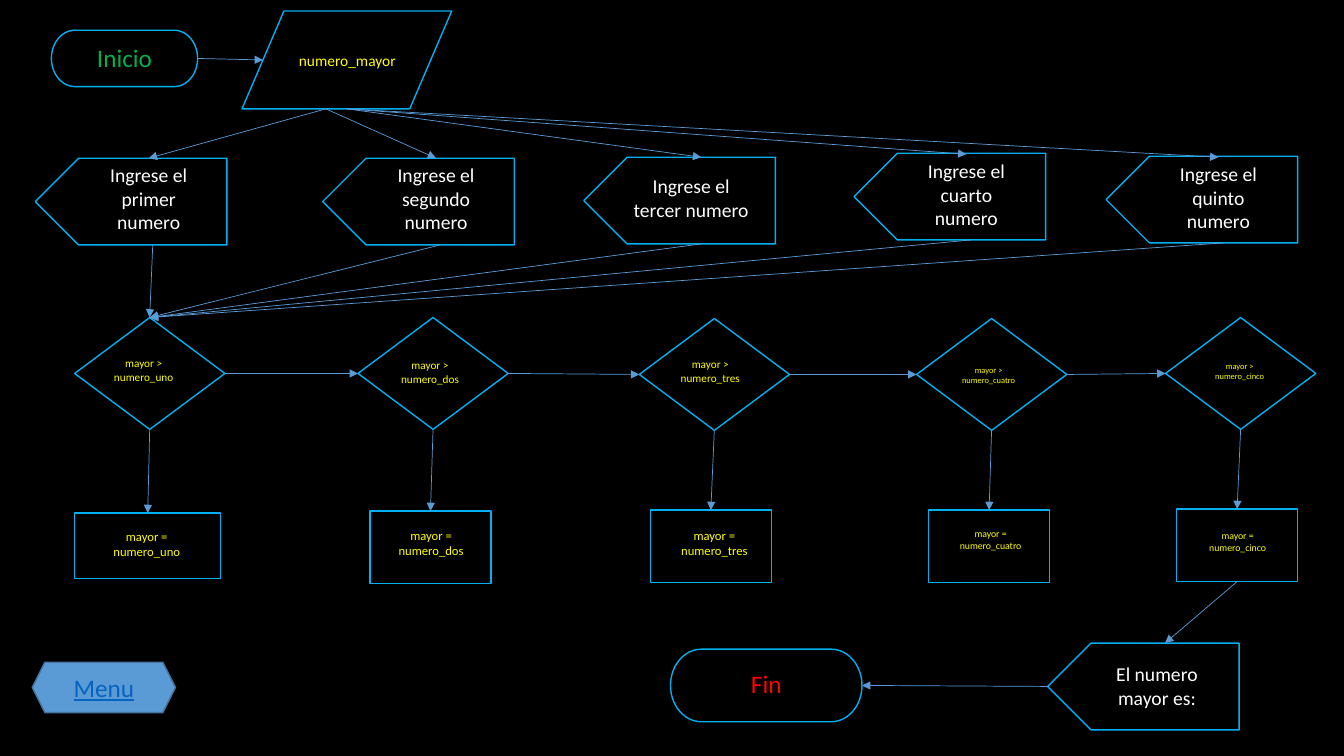
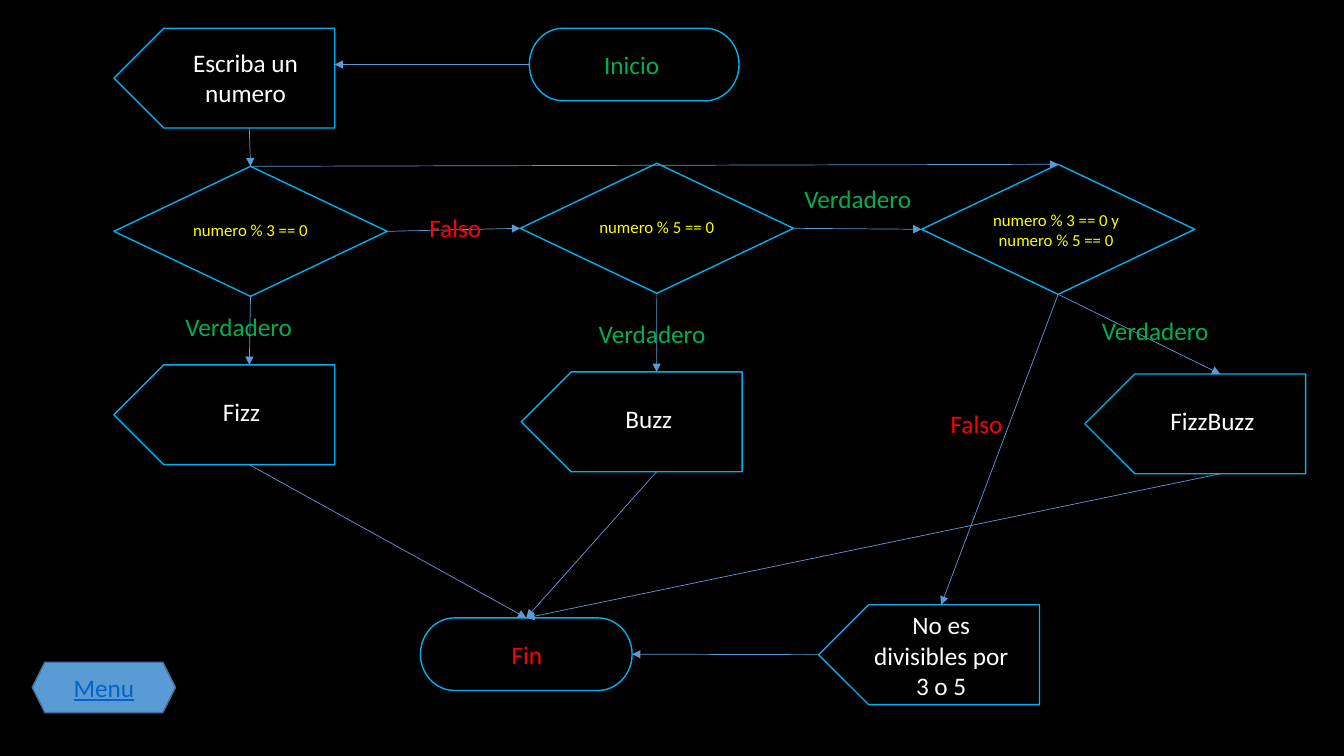
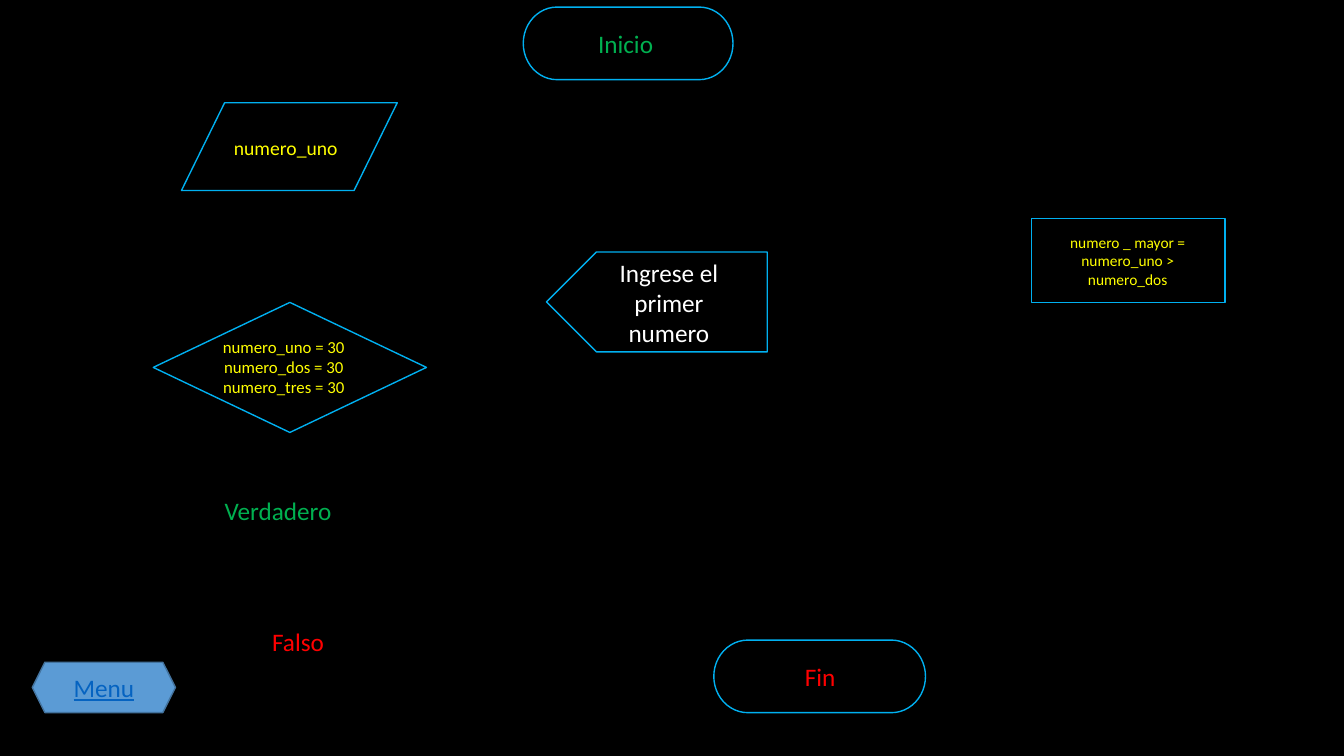
from dataclasses import dataclass

from lxml.etree import SubElement
from pptx import Presentation
from pptx.dml.color import RGBColor
from pptx.enum.shapes import MSO_CONNECTOR, MSO_SHAPE
from pptx.enum.text import MSO_ANCHOR, MSO_AUTO_SIZE, PP_ALIGN
from pptx.oxml.ns import qn
from pptx.util import Inches, Pt

FONT = "Calibri"
BLACK, WHITE, YELLOW = "000000", "FFFFFF", "FFFF00"
GREEN, RED = "00B050", "FF0000"
OUTLINE, ARROW, MENU_LINE, MENU_TEXT = "00B0F0", "5B9BD5", "43739E", "0563C1"
TOP, LEFT, BOTTOM, RIGHT = range(4)

SHAPES = {
    "terminal": MSO_SHAPE.FLOWCHART_TERMINATOR,
    "data": MSO_SHAPE.FLOWCHART_DATA,
    "prompt": MSO_SHAPE.PENTAGON,
    "decision": MSO_SHAPE.FLOWCHART_DECISION,
    "process": MSO_SHAPE.RECTANGLE,
}
TEXT_COLORS = {"data": YELLOW, "prompt": WHITE, "decision": YELLOW, "process": YELLOW}


@dataclass
class Node:
    kind: str
    shape: object
    box: tuple
    label: object = None


def rgb(color):
    return RGBColor.from_string(color)


def inches(*lengths):
    return [Inches(length) for length in lengths]


def write(shape, paragraphs, size, color, align=PP_ALIGN.CENTER, underline=None):
    frame = shape.text_frame
    for index, text in enumerate(paragraphs):
        paragraph = frame.add_paragraph() if index else frame.paragraphs[0]
        paragraph.alignment = align
        run = paragraph.add_run()
        run.text = text
        run.font.name, run.font.size = FONT, Pt(size)
        run.font.color.rgb = rgb(color)
        run.font.underline = underline


def outlined_shape(slide, preset, box, line, fill=None):
    shape = slide.shapes.add_shape(preset, *inches(*box))
    shape.shadow.inherit = False
    if fill:
        shape.fill.solid()
        shape.fill.fore_color.rgb = rgb(fill)
    else:
        shape.fill.background()
    shape.line.color.rgb = rgb(line)
    shape.line.width = Pt(1)
    return shape


def label(slide, position, width, text, size, color, align=PP_ALIGN.CENTER,
          lines=1, wrap=True):
    """Place a text box whose height follows its number of lines."""
    box = (*position, width, round(0.1 + lines * size * 1.22 / 72, 2))
    text_box = slide.shapes.add_textbox(*inches(*box))
    text_box.text_frame.word_wrap = wrap
    text_box.text_frame.auto_size = MSO_AUTO_SIZE.SHAPE_TO_FIT_TEXT
    write(text_box, text.split("\n"), size, color, align)
    return Node("label", text_box, box)


def node(slide, kind, box, text, size, offset, width, lines=1, color=None):
    """Draw a flowchart symbol with a label at an offset from its corner."""
    shape = outlined_shape(slide, SHAPES[kind], box, OUTLINE)
    if kind == "prompt":
        shape.rotation = 180
    position = (box[0] + offset[0], box[1] + offset[1])
    caption = label(slide, position, width, text, size,
                    color or TEXT_COLORS[kind], lines=lines)
    return Node(kind, shape, box, caption)


def port(item, side):
    """Return the point on a side, the middle of the flat edge for a prompt."""
    left, top, width, height = item.box
    middle = left + width / 2
    if item.kind == "prompt":
        middle += height / 4
    return {
        TOP: (middle, top),
        LEFT: (left, top + height / 2),
        BOTTOM: (middle, top + height),
        RIGHT: (left + width, top + height / 2),
    }[side]


def arrow(slide, start, end):
    """Join two ends, each a (node, side) pair or a plain (x, y) point."""
    points = [port(*item) if isinstance(item[0], Node) else item for item in (start, end)]
    connector = slide.shapes.add_connector(
        MSO_CONNECTOR.STRAIGHT, *inches(*points[0], *points[1]))
    for item, join in ((start, connector.begin_connect), (end, connector.end_connect)):
        if isinstance(item[0], Node) and item[0].kind != "prompt":
            join(item[0].shape, item[1])
    connector.line.color.rgb = rgb(ARROW)
    connector.line.width = Pt(0.5)
    SubElement(connector.line._get_or_add_ln(), qn("a:tailEnd"), type="triangle")
    SubElement(connector._element.spPr, qn("a:effectLst"))


def start_node(slide, box, offset=(0.23, 0.16), width=1.57):
    return node(slide, "terminal", box, "Inicio", 18, offset, width, color=GREEN)


def end_node(slide, box, offset=(0.27, 0.16), width=1.57):
    return node(slide, "terminal", box, "Fin", 18, offset, width, color=RED)


def true_label(slide, position):
    label(slide, position, 1.4, "Verdadero", 18, GREEN, PP_ALIGN.LEFT)


def false_label(slide, position):
    label(slide, position, 0.72, "Falso", 18, RED, PP_ALIGN.LEFT, wrap=False)


def flowchart_slide(presentation):
    """Add a blank slide with the menu button."""
    slide = presentation.slides.add_slide(presentation.slide_layouts[6])
    button = outlined_shape(slide, MSO_SHAPE.HEXAGON, (0.32, 6.57, 1.42, 0.5),
                            MENU_LINE, ARROW)
    button.text_frame.vertical_anchor = MSO_ANCHOR.MIDDLE
    write(button, ["Menu"], 18, MENU_TEXT, underline=True)
    return slide


def largest_number_slide(presentation):
    slide = flowchart_slide(presentation)
    start = start_node(slide, (0.51, 0.3, 1.45, 0.56), (0.22, 0.07), 1.01)
    data_left, data_top, data_width, data_height = data_box = (2.4, 0.11, 2.08, 0.97)
    node(slide, "data", data_box, "numero_mayor", 11, (0.35, 0.35), 1.39)
    arrow(slide, (start, RIGHT), (data_left + data_width / 10, data_top + data_height / 2))

    # ordinal, number, prompt corner and offset, lines, decision corner and
    # offset, process box and offset, text sizes, share of the data edge
    columns = [
        ("primer", "uno", (0.35, 1.57), (0.44, 0), 3, (0.74, 3.15), (0.29, 0.34),
         (0.74, 5.09, 1.45, 0.65), (0.28, 0.11), (8, 9), 0.4),
        ("segundo", "dos", (3.2, 1.57), (0.44, 0), 3, (3.55, 3.15), (0.32, 0.36),
         (3.67, 5.07, 1.2, 0.72), (0.17, 0.12), (8, 9), 0.4),
        ("tercer", "tres", (5.79, 1.56), (0.38, 0.12), 2, (6.34, 3.16), (0.31, 0.34),
         (6.45, 5.06, 1.2, 0.72), (0.2, 0.13), (8, 9), 0.5),
        ("cuarto", "cuatro", (8.47, 1.52), (0.43, 0.01), 3, (9.09, 3.16), (0.32, 0.41),
         (9.21, 5.06, 1.2, 0.72), (0.18, 0.13), (6, 7), 0.5),
        ("quinto", "cinco", (10.97, 1.55), (0.43, 0.01), 3, (11.56, 3.15), (0.34, 0.38),
         (11.67, 5.05, 1.2, 0.72), (0.17, 0.16), (6, 7), 0.5),
    ]
    first = previous = None
    for (ordinal, number, prompt_at, prompt_offset, lines, decision_at, decision_offset,
         process_box, process_offset, sizes, share) in columns:
        prompt = node(slide, "prompt", (*prompt_at, 1.9, 0.86),
                      f"Ingrese el {ordinal} numero", 14, prompt_offset, 1.37, lines)
        decision = node(slide, "decision", (*decision_at, 1.49, 1.11),
                        f"mayor > numero_{number}", sizes[0], decision_offset, 0.79, 2)
        process = node(slide, "process", process_box, f"mayor = numero_{number}",
                       sizes[1], process_offset, 0.87, 2)
        first = first or decision
        target = prompt.label if lines == 3 else prompt
        arrow(slide, (data_left + data_width * share, data_top + data_height), (target, TOP))
        arrow(slide, (prompt, BOTTOM), (first, TOP))
        arrow(slide, (decision, BOTTOM), (process, TOP))
        if previous:
            arrow(slide, (previous, RIGHT), (decision, LEFT))
        previous = decision

    result = node(slide, "prompt", (10.39, 6.38, 1.9, 0.86), "El numero mayor es:",
                  14, (0.4, 0.14), 1.37, 2)
    end = end_node(slide, (6.65, 6.44, 1.9, 0.72), (0.49, 0.14), 0.92)
    arrow(slide, (process, BOTTOM), (result, TOP))
    arrow(slide, (result, LEFT), (end, RIGHT))


def fizzbuzz_slide(presentation):
    slide = flowchart_slide(presentation)

    def prompt(corner, text, offset=(0.48, 0.26), lines=1):
        return node(slide, "prompt", (*corner, 2.19, 0.99), text, 18, offset, 1.57, lines)

    def decision(corner, text, offset=(0.57, 0.48), lines=1):
        return node(slide, "decision", (*corner, 2.71, 1.29), text, 12, offset, 1.57, lines)

    start = start_node(slide, (5.25, 0.28, 2.08, 0.72))
    end = end_node(slide, (4.17, 6.13, 2.1, 0.72))
    question = prompt((1.13, 0.28), "Escriba un numero", (0.52, 0.14), 2)
    by_three = decision((1.13, 1.65), "numero % 3 == 0")
    by_five = decision((5.16, 1.62), "numero % 5 == 0")
    by_both = decision((9.14, 1.63), "numero % 3 == 0 y numero % 5 == 0", (0.55, 0.4), 2)
    fizz = prompt((1.13, 3.62), "Fizz")
    buzz = prompt((5.17, 3.69), "Buzz")
    fizzbuzz = prompt((10.76, 3.71), "FizzBuzz")
    neither = prompt((8.12, 6), "No es divisibles por 3 o 5", (0.43, 0), 3)

    question_right = question.box[0] + question.box[2]
    for origin, target in [
        ((start, LEFT), (question_right, port(start, LEFT)[1])),
        ((question, BOTTOM), (by_three, TOP)),
        ((by_three, BOTTOM), (fizz, TOP)),
        ((by_three, RIGHT), (by_five, LEFT)),
        ((by_three, TOP), (by_both, TOP)),
        ((by_five, BOTTOM), (buzz, TOP)),
        ((by_five, RIGHT), (by_both, LEFT)),
        ((by_both, BOTTOM), (fizzbuzz, TOP)),
        ((by_both, BOTTOM), (neither.label, TOP)),
        ((fizz, BOTTOM), (end, TOP)),
        ((buzz, BOTTOM), (end, TOP)),
        ((fizzbuzz, BOTTOM), (end, TOP)),
        ((neither, LEFT), (end, RIGHT)),
    ]:
        arrow(slide, origin, target)

    for position in [(1.74, 3.04), (5.84, 3.11), (10.83, 3.08), (7.88, 1.77)]:
        true_label(slide, position)
    for position in [(4.16, 2.06), (9.33, 4)]:
        false_label(slide, position)


def symbols_slide(presentation):
    slide = flowchart_slide(presentation)
    start_node(slide, (5.19, 0.07, 2.08, 0.72))
    end_node(slide, (7.08, 6.35, 2.1, 0.72))
    node(slide, "data", (1.8, 1.02, 2.14, 0.87), "numero_uno", 14, (0.2, 0.28), 1.67)
    node(slide, "decision", (1.52, 3, 2.71, 1.29),
         "numero_uno = 30\nnumero_dos = 30\nnumero_tres = 30", 12, (0.51, 0.29), 1.57, 3)
    node(slide, "prompt", (5.42, 2.5, 2.19, 0.99), "Ingrese el primer numero",
         18, (0.43, 0), 1.57, 3)
    node(slide, "process", (10.23, 2.17, 1.92, 0.83),
         "numero _ mayor = numero_uno > numero_dos", 11, (0.26, 0.09), 1.39, 3)
    true_label(slide, (2.13, 4.86))
    false_label(slide, (2.6, 6.16))


def main():
    presentation = Presentation()
    presentation.slide_width, presentation.slide_height = inches(13.33, 7.5)
    background = presentation.slide_master.background.fill
    background.solid()
    background.fore_color.rgb = rgb(BLACK)
    largest_number_slide(presentation)
    fizzbuzz_slide(presentation)
    symbols_slide(presentation)
    presentation.save("out.pptx")


if __name__ == "__main__":
    main()
